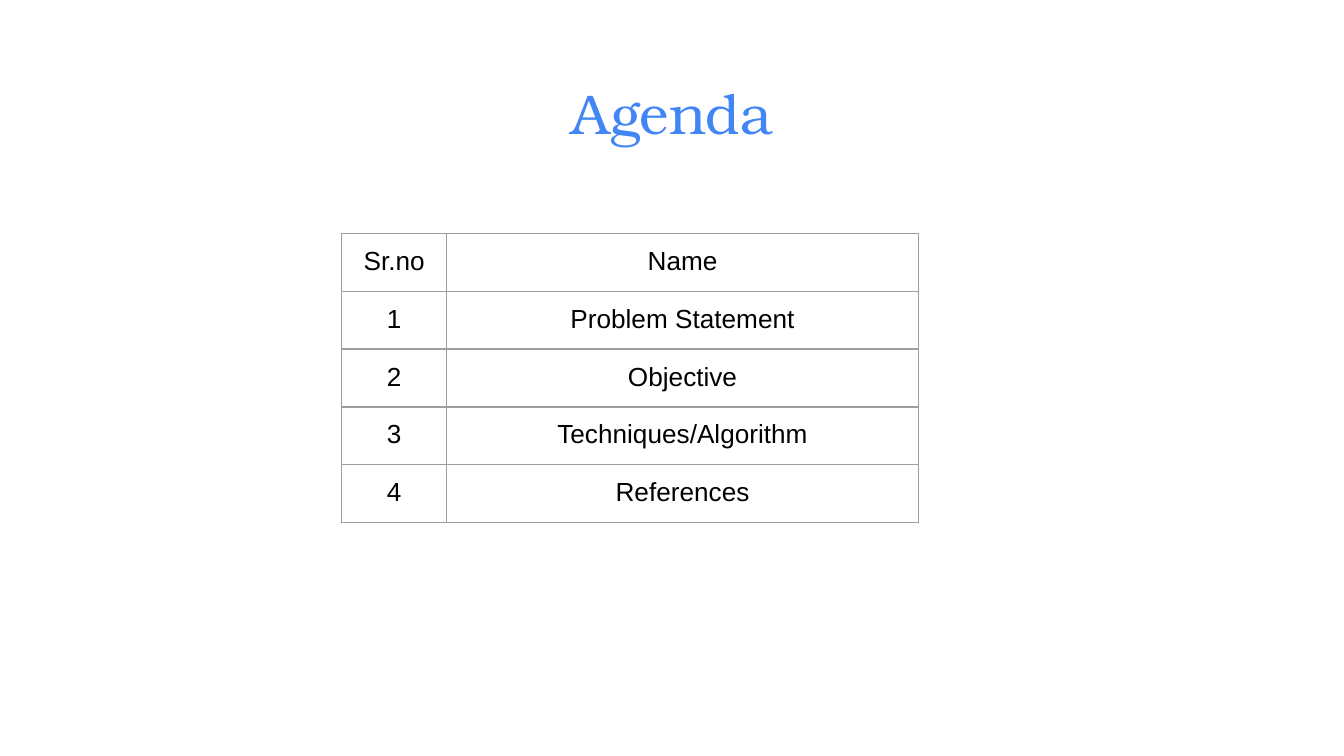
import pptx
import pptx.util
import pptx.dml.color
import pptx.enum.text
import pptx.oxml
import lxml.etree

Cm = pptx.util.Cm
Pt = pptx.util.Pt
BLUE = pptx.dml.color.RGBColor(0x42, 0x85, 0xF4)
BLACK = pptx.dml.color.RGBColor(0, 0, 0)
GREY = pptx.dml.color.RGBColor(0x9E, 0x9E, 0x9E)
INSET = Cm(0.25)
ROW_HEIGHT = Cm(1.06)
COLUMN_WIDTHS = [Cm(1.98), Cm(8.92)]
TOPICS = ["Problem Statement", "Objective", "Techniques/Algorithm", "References"]


def write_centred(frame, text, font_name, size, color):
    frame.text = text
    paragraph = frame.paragraphs[0]
    paragraph.alignment = pptx.enum.text.PP_ALIGN.CENTER
    font = paragraph.runs[0].font
    font.name = font_name
    font.size = Pt(size)
    font.color.rgb = color


def add_borders(cell):
    properties = cell._tc.get_or_add_tcPr()
    for position, side in enumerate(["lnL", "lnR", "lnT", "lnB"]):
        border = pptx.oxml.parse_xml(
            f'<a:{side} xmlns:a="http://schemas.openxmlformats.org/drawingml/2006/main" w="{Pt(0.75)}">'
            f'<a:solidFill><a:srgbClr val="{GREY}"/></a:solidFill></a:{side}>'
        )
        properties.insert(position, border)


deck = pptx.Presentation()
deck.slide_width = Cm(25.4)
deck.slide_height = Cm(14.29)
slide = deck.slides.add_slide(deck.slide_layouts[6])

heading = slide.shapes.add_textbox(Cm(0.87), Cm(1.24), Cm(23.67), Cm(1.6)).text_frame
heading.word_wrap = True
heading.margin_left = heading.margin_right = INSET
heading.margin_top = heading.margin_bottom = INSET
write_centred(heading, "Agenda", "TeX Gyre Bonum", 30, BLUE)

entries = [("Sr.no", "Name")] + [(str(n), topic) for n, topic in enumerate(TOPICS, 1)]
agenda = slide.shapes.add_table(
    len(entries), 2, Cm(6.46), Cm(4.41), sum(COLUMN_WIDTHS), ROW_HEIGHT * len(entries)
).table
agenda.first_row = False
agenda.horz_banding = False
for column, width in zip(agenda.columns, COLUMN_WIDTHS):
    column.width = width

for row, entry in enumerate(entries):
    agenda.rows[row].height = ROW_HEIGHT
    for column, text in enumerate(entry):
        cell = agenda.cell(row, column)
        cell.fill.background()
        cell.margin_left = cell.margin_right = INSET
        cell.margin_top = cell.margin_bottom = INSET
        write_centred(cell.text_frame, text, "Arial", 14, BLACK)
        add_borders(cell)

deck.save("out.pptx")
